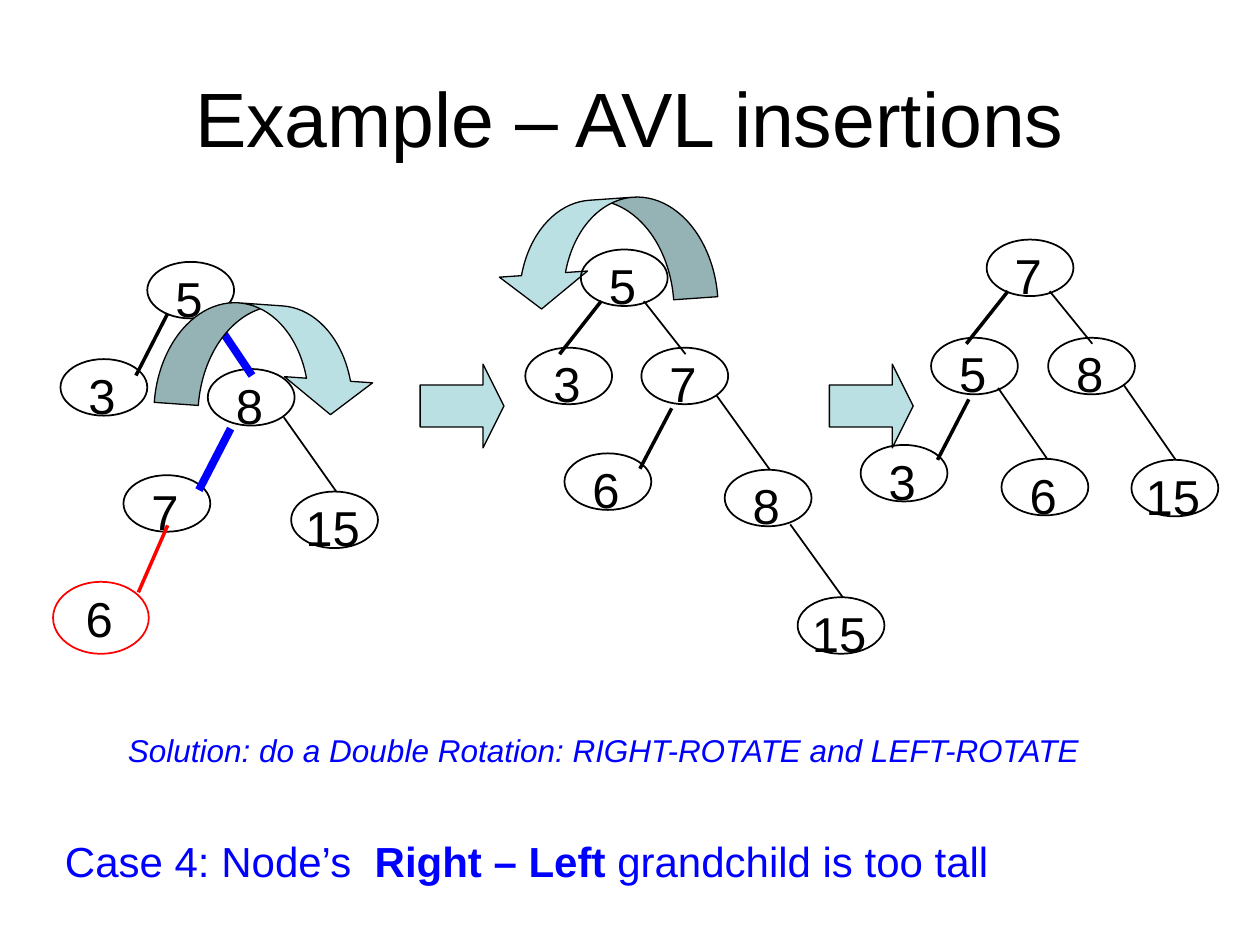
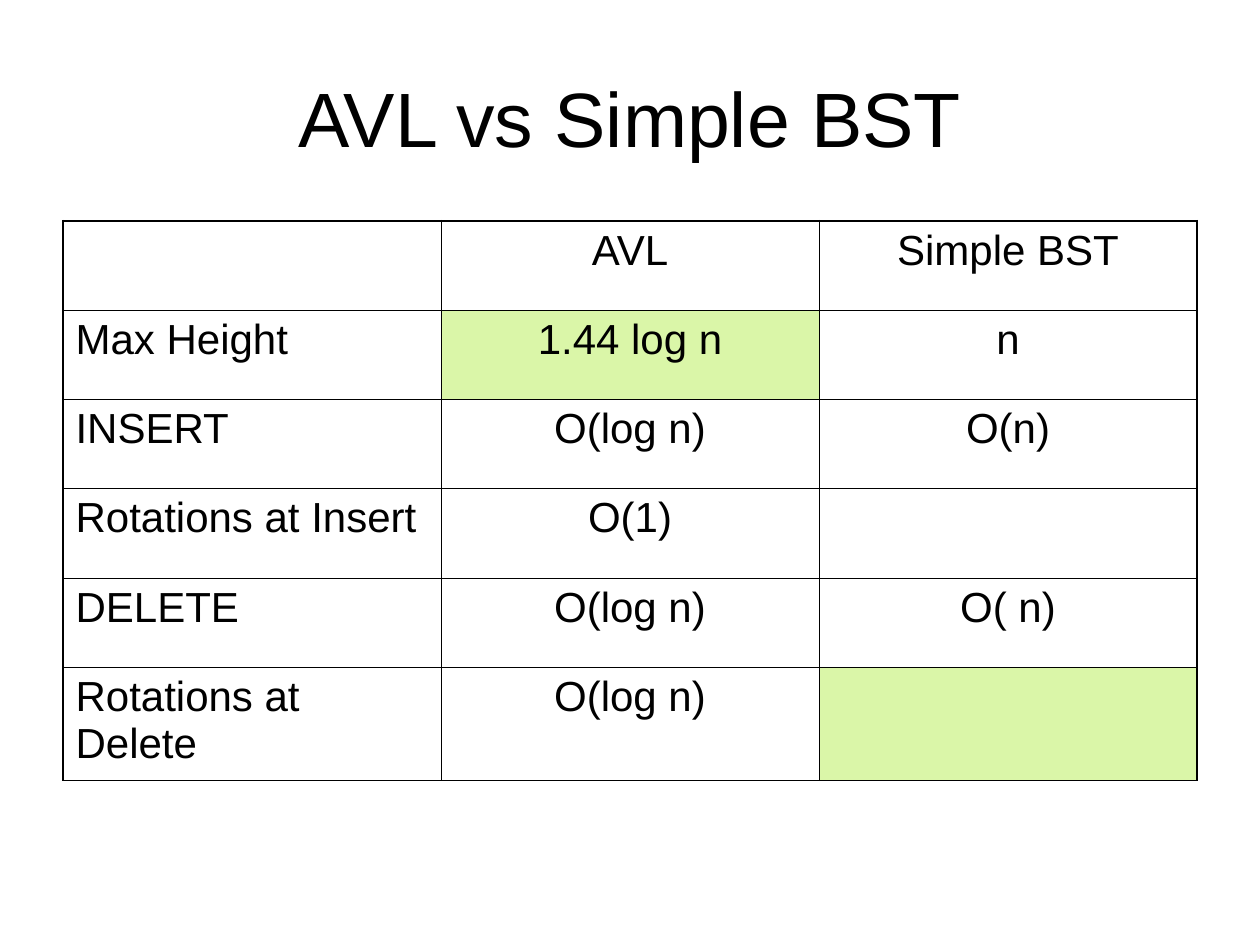
from lxml.etree import SubElement
from pptx import Presentation
from pptx.dml.color import RGBColor
from pptx.enum.shapes import MSO_CONNECTOR, MSO_SHAPE
from pptx.enum.text import MSO_ANCHOR, PP_ALIGN
from pptx.oxml import parse_xml
from pptx.oxml.ns import nsdecls, qn
from pptx.util import Cm, Pt

INK, BLUE, RED, WHITE = "000000", "0000FF", "FF0000", "FFFFFF"
ARROW_FILL, HIGHLIGHT = "BBE0E3", "DAF6A8"
FONT = "Arial"
NODE_WIDTH, NODE_HEIGHT = 1.75, 1.14

UNBALANCED_NODES = [("5", 2.97, 5.28), ("8", 4.19, 7.44), ("3", 1.22, 7.24),
                    ("15", 5.87, 9.91), ("7", 2.49, 9.58)]
UNBALANCED_EDGES = [(3.38, 6.32, 2.74, 7.57), (5.72, 8.41, 6.78, 9.91)]
TALL_PATH = [(4.24, 6.32, 5.08, 7.57), (4.65, 8.64, 4.01, 9.88)]

RIGHT_ROTATED_NODES = [("5", 11.71, 5.03), ("7", 12.93, 7.01), ("3", 10.59, 7.01),
                       ("8", 14.61, 9.47), ("15", 16.08, 12.04), ("6", 11.38, 9.14)]
RIGHT_ROTATED_EDGES = [(12.12, 6.07, 11.28, 7.14), (12.98, 6.07, 13.82, 7.14),
                       (14.45, 7.98, 15.52, 9.47), (15.93, 10.57, 16.99, 12.04),
                       (13.54, 8.23, 12.9, 9.45)]

BALANCED_NODES = [("7", 19.89, 4.83), ("8", 21.13, 6.81), ("5", 18.77, 6.81),
                  ("15", 22.81, 9.27), ("6", 20.19, 9.25), ("3", 17.35, 8.97)]
BALANCED_EDGES = [(20.32, 5.87, 19.48, 6.93), (21.16, 5.87, 22.02, 6.93),
                  (22.66, 7.77, 23.7, 9.27), (20.12, 7.82, 21.11, 9.25),
                  (19.53, 8.05, 18.9, 9.27)]

COMPARISON = [("", "AVL", "Simple BST"),
              ("Max Height", "1.44 log n", "n"),
              ("INSERT", "O(log n)", "O(n)"),
              ("Rotations at Insert", "O(1)", ""),
              ("DELETE", "O(log n)", "O( n)"),
              ("Rotations at Delete", "O(log n)", "")]
HIGHLIGHTED_CELLS = {(1, 1), (5, 2)}


def color(value):
    """Turn a hex string into a colour."""
    return RGBColor.from_string(value)


def style(paragraph, size, ink=INK, align=PP_ALIGN.LEFT):
    """Set the font and alignment of a paragraph."""
    paragraph.alignment = align
    paragraph.font.name = FONT
    paragraph.font.size = Pt(size)
    paragraph.font.color.rgb = color(ink)


def add_text(slide, text, box, size, ink=INK, align=PP_ALIGN.LEFT, wrap=False):
    """Add a one-paragraph text box and return its frame."""
    frame = slide.shapes.add_textbox(*map(Cm, box)).text_frame
    frame.word_wrap = wrap
    paragraph = frame.paragraphs[0]
    if text:
        paragraph.add_run().text = text
    style(paragraph, size, ink, align)
    return frame


def add_title(slide, text):
    """Add the centred slide title."""
    frame = add_text(slide, text, (1.27, 0.76, 22.86, 3.18), 44,
                     align=PP_ALIGN.CENTER, wrap=True)
    frame.vertical_anchor = MSO_ANCHOR.MIDDLE


def add_outlined(slide, kind, box, ink=INK, width=1, fill=None):
    """Add a preset shape with a line and an optional fill."""
    shape = slide.shapes.add_shape(kind, *map(Cm, box))
    shape.shadow.inherit = False
    shape.line.color.rgb = color(ink)
    shape.line.width = Pt(width)
    if fill:
        shape.fill.solid()
        shape.fill.fore_color.rgb = color(fill)
    else:
        shape.fill.background()
    return shape


def add_node(slide, key, left, top, width=NODE_WIDTH, height=NODE_HEIGHT, ink=INK):
    """Add a tree node with its key."""
    add_outlined(slide, MSO_SHAPE.OVAL, (left, top, width, height), ink)
    key_width = 0.48 + 0.56 * len(key)
    key_left = left + (width - key_width) / 2 - 0.04
    add_text(slide, key, (key_left, top, key_width, 1.45), 28, align=PP_ALIGN.CENTER)


def add_edge(slide, ends, ink=INK, width=None):
    """Add a tree edge, heavier by default towards a left child."""
    edge = slide.shapes.add_connector(MSO_CONNECTOR.STRAIGHT, *map(Cm, ends))
    SubElement(edge._element.spPr, qn("a:effectLst"))
    edge.line.color.rgb = color(ink)
    edge.line.width = Pt(width or (2 if ends[2] < ends[0] else 1))


def add_tree(slide, nodes, edges):
    """Add all nodes and edges of a tree."""
    for node in nodes:
        add_node(slide, *node)
    for edge in edges:
        add_edge(slide, edge)


def add_step_arrow(slide, left):
    """Add the block arrow that leads to the next tree."""
    arrow = add_outlined(slide, MSO_SHAPE.RIGHT_ARROW, (left, 7.34, 1.69, 1.69),
                         width=0.75, fill=ARROW_FILL)
    arrow.adjustments[0], arrow.adjustments[1] = 0.5, 0.25


def add_rotation_arrow(slide, left, top, to_left=False):
    """Add the curved arrow that shows a rotation to the right or left."""
    arrow = add_outlined(slide, MSO_SHAPE.CURVED_DOWN_ARROW, (left, top, 4.45, 2.12),
                         width=0.75, fill=ARROW_FILL)
    for index, share in enumerate((0.42, 0.84, 0.33)):
        arrow.adjustments[index] = share
    arrow.rotation = 356 if to_left else 4
    if to_left:
        arrow._element.spPr.get_or_add_xfrm().set("flipH", "1")


def set_borders(cell, widths):
    """Draw the left, right, top and bottom borders of a cell."""
    properties = cell._tc.get_or_add_tcPr()
    for side, width in zip("LRTB", widths):
        properties.append(parse_xml(
            f'<a:ln{side} {nsdecls("a")} w="{Pt(width)}"><a:solidFill>'
            f'<a:srgbClr val="{INK}"/></a:solidFill></a:ln{side}>'))


def add_comparison(slide, rows):
    """Add the table that compares the two trees."""
    last_row, last_column = len(rows) - 1, len(rows[0]) - 1
    table = slide.shapes.add_table(len(rows), len(rows[0]), Cm(1.27), Cm(4.45),
                                   Cm(22.86), Cm(11.27)).table
    table.first_row = table.horz_banding = False
    for r, texts in enumerate(rows):
        table.rows[r].height = Cm(2.27 if r == last_row else 1.8)
        for c, text in enumerate(texts):
            cell = table.cell(r, c)
            cell.text = text
            style(cell.text_frame.paragraphs[0], 24,
                  align=PP_ALIGN.CENTER if c else PP_ALIGN.LEFT)
            outer_sides = (c == 0, c == last_column, r == 0, r == last_row)
            set_borders(cell, [1.08 if outer else 0.45 for outer in outer_sides])
            cell.fill.solid()
            cell.fill.fore_color.rgb = color(
                HIGHLIGHT if (r, c) in HIGHLIGHTED_CELLS else WHITE)


def build_insertion_slide(slide):
    """Show a double rotation after an insertion."""
    add_title(slide, "Example – AVL insertions")
    add_tree(slide, UNBALANCED_NODES, UNBALANCED_EDGES)
    for edge in TALL_PATH:
        add_edge(slide, edge, BLUE, 4.5)
    add_node(slide, "6", 1.07, 11.73, 1.93, 1.45, RED)
    add_edge(slide, (3.38, 10.59, 2.79, 11.94), RED)
    add_rotation_arrow(slide, 3.18, 6.15)
    add_step_arrow(slide, 8.47)
    add_rotation_arrow(slide, 9.95, 4.02, to_left=True)
    add_step_arrow(slide, 16.72)
    add_tree(slide, RIGHT_ROTATED_NODES, RIGHT_ROTATED_EDGES)
    add_tree(slide, BALANCED_NODES, BALANCED_EDGES)
    add_text(slide, "Solution: do a Double Rotation: RIGHT-ROTATE and LEFT-ROTATE",
             (2.33, 14.61, 19.99, 1.02), 18, BLUE).paragraphs[0].font.italic = True
    case = add_text(slide, "", (1.06, 16.72, 19.13, 1.27), 24, BLUE).paragraphs[0]
    for text, bold in (("Case 4: Node’s  ", False), ("Right – Left", True),
                       (" grandchild is too tall", False)):
        run = case.add_run()
        run.text = text
        run.font.bold = bold


def build_comparison_slide(slide):
    """Compare AVL trees with simple search trees."""
    add_title(slide, "AVL vs Simple BST")
    add_comparison(slide, COMPARISON)


def main():
    """Build and save the presentation."""
    presentation = Presentation()
    presentation.slide_width, presentation.slide_height = Cm(25.4), Cm(19.05)
    blank = presentation.slide_layouts[6]
    for build in (build_insertion_slide, build_comparison_slide):
        build(presentation.slides.add_slide(blank))
    presentation.save("out.pptx")


if __name__ == "__main__":
    main()
